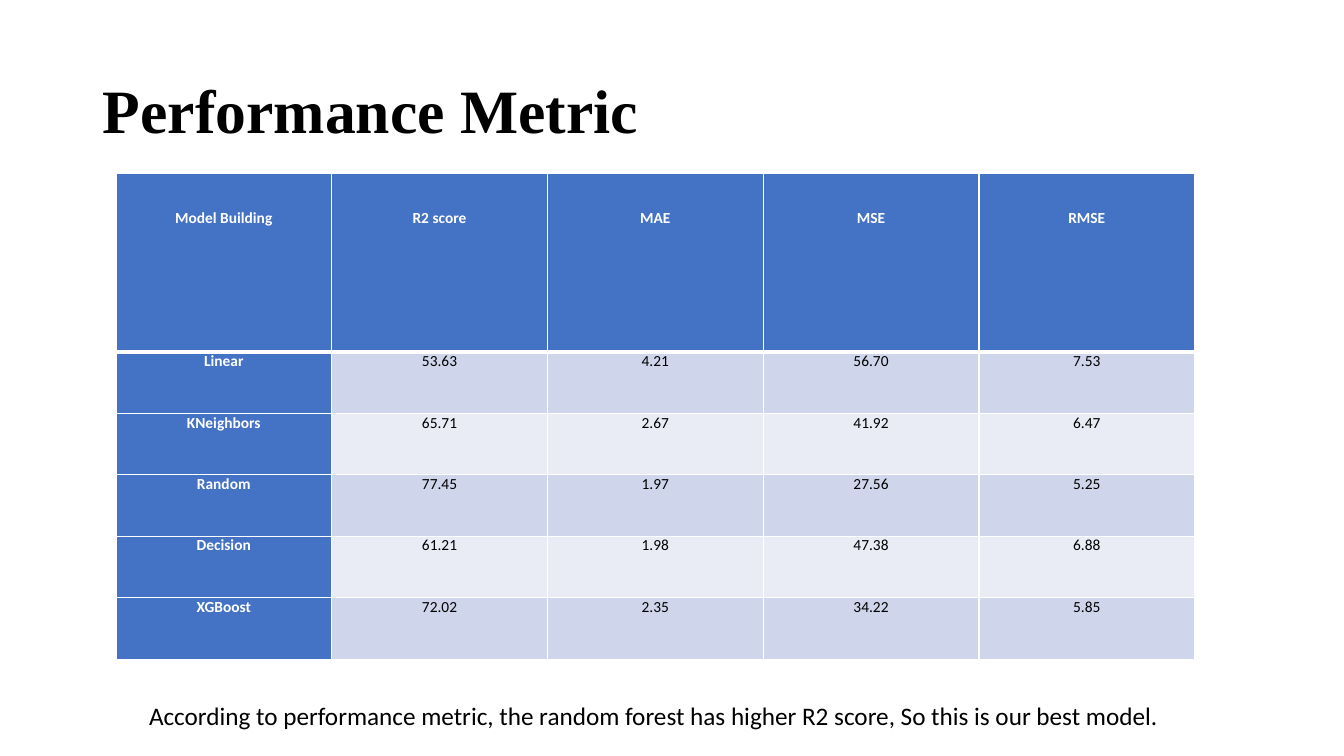
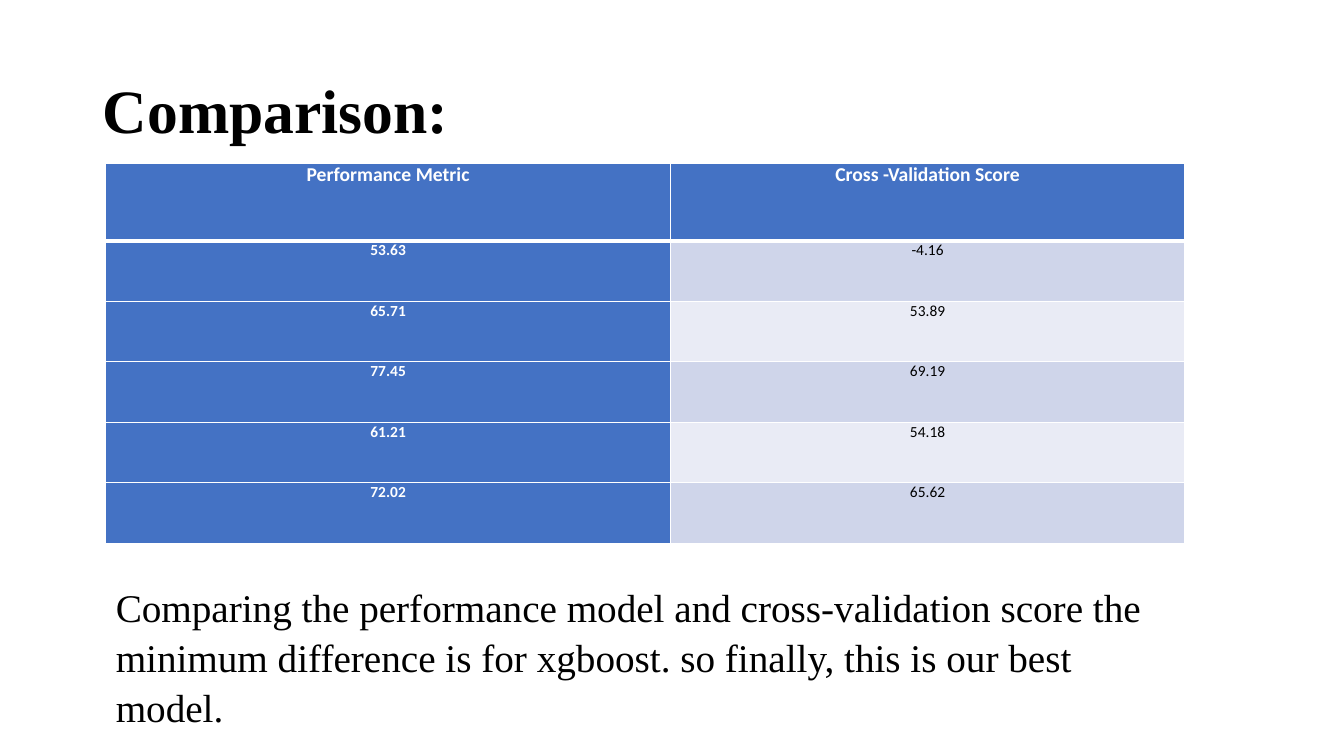
from lxml.etree import SubElement
from pptx import Presentation
from pptx.dml.color import RGBColor
from pptx.enum.text import MSO_ANCHOR, MSO_AUTO_SIZE, PP_ALIGN
from pptx.oxml.ns import qn
from pptx.util import Inches, Pt

BLUE, DARK_BAND, LIGHT_BAND = "4472C4", "CFD5EA", "E9EBF5"
WHITE, BLACK = "FFFFFF", "000000"
SERIF, SANS = "Times New Roman", "Calibri"
TITLE_AREA = (0.92, 0.4, 11.5, 1.45)
TITLE_STYLE = {"name": SERIF, "size": Pt(44), "bold": True}

SLIDES = [
    {
        "title": "Performance Metric",
        "table_at": (1.15, 1.72),
        "columns": [2.14] * 5,
        "header": {"height": 1.77, "top_margin": 0.35, "size": 11},
        "row_height": 0.61,
        "rows": [
            ("Model Building", "R2 score", "MAE", "MSE", "RMSE"),
            ("Linear", "53.63", "4.21", "56.70", "7.53"),
            ("KNeighbors", "65.71", "2.67", "41.92", "6.47"),
            ("Random", "77.45", "1.97", "27.56", "5.25"),
            ("Decision", "61.21", "1.98", "47.38", "6.88"),
            ("XGBoost", "72.02", "2.35", "34.22", "5.85"),
        ],
        "note": "According to performance metric, the random forest has higher R2 score, "
                "So this is our best model.",
        "note_at": (1.38, 6.9, 10.83, 0.4),
        "note_style": {"name": SANS, "size": Pt(18)},
        "note_spacing": 1.0,
    },
    {
        "title": "Comparison:",
        "table_at": (1.05, 1.62),
        "columns": [5.6, 5.1],
        "header": {"height": 0.77, "top_margin": 0, "size": 14},
        "row_height": 0.6,
        "rows": [
            ("Performance Metric", "Cross -Validation Score"),
            ("53.63", "-4.16"),
            ("65.71", "53.89"),
            ("77.45", "69.19"),
            ("61.21", "54.18"),
            ("72.02", "65.62"),
        ],
        "note": "Comparing the performance model and cross-validation score the minimum "
                "difference is for xgboost. so finally, this is our best model.",
        "note_at": (1.05, 5.7, 10.7, 1.59),
        "note_style": {"name": SERIF, "size": Pt(28)},
        "note_spacing": 1.07,
    },
]


def color(value):
    return RGBColor.from_string(value)


def apply(target, values):
    for name, value in values.items():
        setattr(target, name, value)


def write(frame, text, style, ink=BLACK, align=PP_ALIGN.LEFT, spacing=1.0):
    para = frame.paragraphs[0]
    apply(para, {"alignment": align, "line_spacing": spacing})
    span = para.add_run()
    span.text = text
    apply(span.font, style)
    span.font.color.rgb = color(ink)


def add_title(page, text):
    title = page.shapes.title
    places = map(Inches, TITLE_AREA)
    apply(title, dict(zip(("left", "top", "width", "height"), places)))
    apply(title.text_frame, {
        "vertical_anchor": MSO_ANCHOR.MIDDLE,
        "auto_size": MSO_AUTO_SIZE.NONE,
    })
    write(title.text_frame, text, TITLE_STYLE, spacing=0.9)


def add_note(page, content):
    box = page.shapes.add_textbox(*map(Inches, content["note_at"]))
    box.text_frame.word_wrap = True
    write(box.text_frame, content["note"], content["note_style"],
          spacing=content["note_spacing"])


def set_borders(cell, row):
    widths = {"L": 1, "R": 1, "T": 3 if row == 1 else 1, "B": 3 if row == 0 else 1}
    properties = cell._tc.get_or_add_tcPr()
    for side, width in widths.items():
        line = SubElement(properties, qn(f"a:ln{side}"), w=str(Pt(width)))
        fill = SubElement(line, qn("a:solidFill"))
        SubElement(fill, qn("a:srgbClr"), val=WHITE)


def format_cell(cell, text, row, column, header):
    is_header = row == 0
    strong = is_header or column == 0
    band = DARK_BAND if row % 2 else LIGHT_BAND
    set_borders(cell, row)
    cell.fill.solid()
    cell.fill.fore_color.rgb = color(BLUE if strong else band)
    apply(cell, {
        "margin_left": Inches(0.07),
        "margin_right": Inches(0.07),
        "margin_top": Inches(header["top_margin"] if is_header else 0),
        "margin_bottom": 0,
        "vertical_anchor": MSO_ANCHOR.TOP,
    })
    style = {"name": SANS, "size": Pt(header["size"] if is_header else 11), "bold": strong}
    write(cell.text_frame, text, style, WHITE if strong else BLACK, PP_ALIGN.CENTER)


def add_scores(page, content):
    rows, columns, header = content["rows"], content["columns"], content["header"]
    heights = [header["height"]] + [content["row_height"]] * (len(rows) - 1)
    area = (*content["table_at"], sum(columns), sum(heights))
    table = page.shapes.add_table(len(rows), len(columns), *map(Inches, area)).table
    table.first_col = True
    for column, width in zip(table.columns, columns):
        column.width = Inches(width)
    for row, height in zip(table.rows, heights):
        row.height = Inches(height)
    for row, texts in enumerate(rows):
        for column, text in enumerate(texts):
            format_cell(table.cell(row, column), text, row, column, header)


def main():
    deck = Presentation()
    apply(deck, {"slide_width": Inches(13.33), "slide_height": Inches(7.5)})
    for content in SLIDES:
        page = deck.slides.add_slide(deck.slide_layouts[5])
        add_title(page, content["title"])
        add_note(page, content)
        add_scores(page, content)
    deck.save("out.pptx")


if __name__ == "__main__":
    main()
